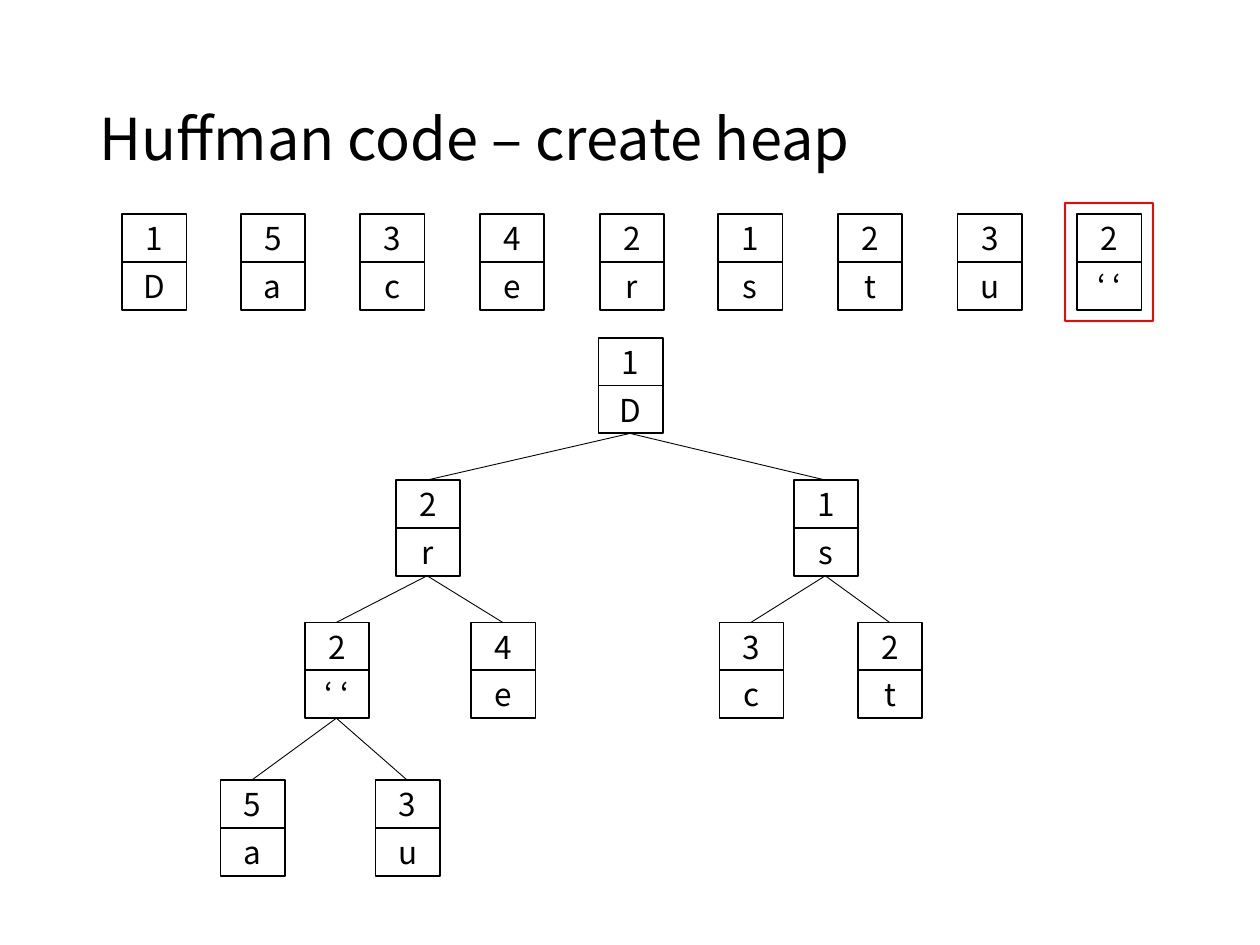
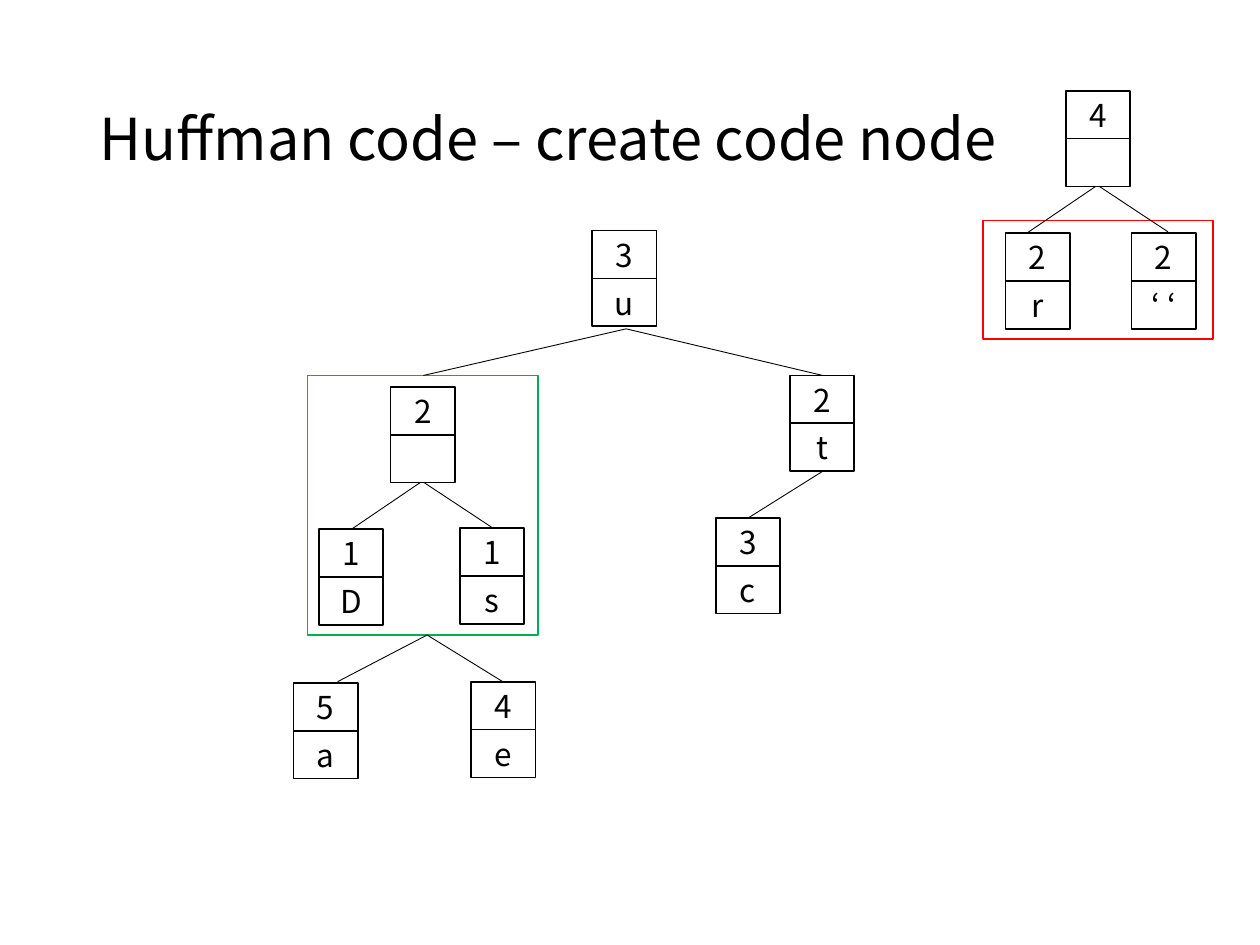
import pptx
import pptx.util
import pptx.dml.color
import pptx.enum.shapes
import pptx.enum.text
import pptx.oxml

PX = 9144
FONT = "Noto Sans CJK KR"
COLORS = {"ink": "000000", "paper": "FFFFFF", "picked": "FF0000", "merged": "00B050"}
CELL_WIDTH, CELL_HEIGHT = 51, 38
NODE_CENTER, NODE_HEIGHT = 25, 76
BLANK = "‘ ‘"
COUNTS = {"D": 1, "a": 5, "c": 3, "e": 4, "r": 2, "s": 1, "t": 2, "u": 3, BLANK: 2}


def color(name):
    return pptx.dml.color.RGBColor.from_string(COLORS[name])


def add_rectangle(page, left, top, width, height, line, fill=None):
    box = page.shapes.add_shape(
        pptx.enum.shapes.MSO_SHAPE.RECTANGLE, left * PX, top * PX, width * PX, height * PX
    )
    box.shadow.inherit = False
    box.line.color.rgb = color(line)
    box.line.width = pptx.util.Pt(1)
    if fill:
        box.fill.solid()
        box.fill.fore_color.rgb = color(fill)
    else:
        box.fill.background()
    return box


row_nodes = [
    (count, symbol, 97 + index * 379 // 4, 170)
    for index, (symbol, count) in enumerate(COUNTS.items())
]
heap_places = {
    "D": (475, 268),
    "r": (314, 381),
    "s": (630, 381),
    BLANK: (242, 494),
    "e": (374, 494),
    "c": (571, 494),
    "t": (681, 494),
    "a": (175, 619),
    "u": (298, 619),
}
heap_children = {"D": ["r", "s"], "r": [BLANK, "e"], "s": ["c", "t"], BLANK: ["a", "u"]}
heap_nodes = [(COUNTS[symbol], symbol, *place) for symbol, place in heap_places.items()]
heap_branches = []
for parent, children in heap_children.items():
    left, top = heap_places[parent]
    ends = [(heap_places[child][0] + NODE_CENTER, heap_places[child][1]) for child in children]
    heap_branches.append(((left + NODE_CENTER, top + NODE_HEIGHT), ends))

code_places = {
    "u": (470, 183),
    "t": (627, 298),
    "c": (568, 411),
    "D": (253, 420),
    "s": (365, 419),
    "a": (233, 542),
    "e": (374, 541),
    "r": (798, 185),
    BLANK: (898, 185),
}
code_nodes = [(COUNTS[symbol], symbol, *place) for symbol, place in code_places.items()]
code_nodes += [(2, "", 310, 307), (4, "", 846, 72)]
code_branches = [
    ((497, 261), [(336, 298), (653, 298)]),
    ((653, 374), [(594, 411)]),
    ((335, 382), [(279, 420), (391, 419)]),
    ((339, 504), [(268, 541), (399, 541)]),
    ((871, 147), [(815, 185), (927, 184)]),
]

slides = [
    (
        "Huffman code – create heap",
        row_nodes + heap_nodes,
        heap_branches,
        [(845, 161, 70, 94, "picked")],
    ),
    (
        "Huffman code – create code node",
        code_nodes,
        code_branches,
        [(244, 298, 183, 206, "merged"), (780, 175, 183, 94, "picked")],
    ),
]

deck = pptx.Presentation()
deck.slide_width, deck.slide_height = 1000 * PX, 750 * PX

for title, nodes, branches, frames in slides:
    page = deck.slides.add_slide(deck.slide_layouts[6])

    box = page.shapes.add_textbox(69 * PX, 40 * PX, 862 * PX, 145 * PX)
    box.text_frame.word_wrap = True
    box.text_frame.vertical_anchor = pptx.enum.text.MSO_ANCHOR.MIDDLE
    para = box.text_frame.paragraphs[0]
    para.text = title
    para.line_spacing = 0.9
    para.font.name = FONT
    para.font.size = pptx.util.Pt(33)
    para.font.color.rgb = color("ink")

    for frame in frames:
        add_rectangle(page, *frame)

    for (start_x, start_y), ends in branches:
        for end_x, end_y in ends:
            branch = page.shapes.add_connector(
                pptx.enum.shapes.MSO_CONNECTOR.STRAIGHT,
                start_x * PX, start_y * PX, end_x * PX, end_y * PX,
            )
            branch.line.color.rgb = color("ink")
            branch.line.width = pptx.util.Pt(0.5)
            branch.element.spPr.append(pptx.oxml.parse_xml(
                '<a:effectLst xmlns:a="http://schemas.openxmlformats.org/drawingml/2006/main"/>'
            ))

    for count, symbol, left, top in nodes:
        for row, label in enumerate([str(count), symbol]):
            cell = add_rectangle(
                page, left, top + row * CELL_HEIGHT, CELL_WIDTH, CELL_HEIGHT, "ink", "paper"
            )
            if label:
                cell.text_frame.vertical_anchor = pptx.enum.text.MSO_ANCHOR.MIDDLE
                para = cell.text_frame.paragraphs[0]
                para.text = label
                para.alignment = pptx.enum.text.PP_ALIGN.CENTER
                para.font.name = FONT
                para.font.size = pptx.util.Pt(18)
                para.font.color.rgb = color("ink")

deck.save("out.pptx")
